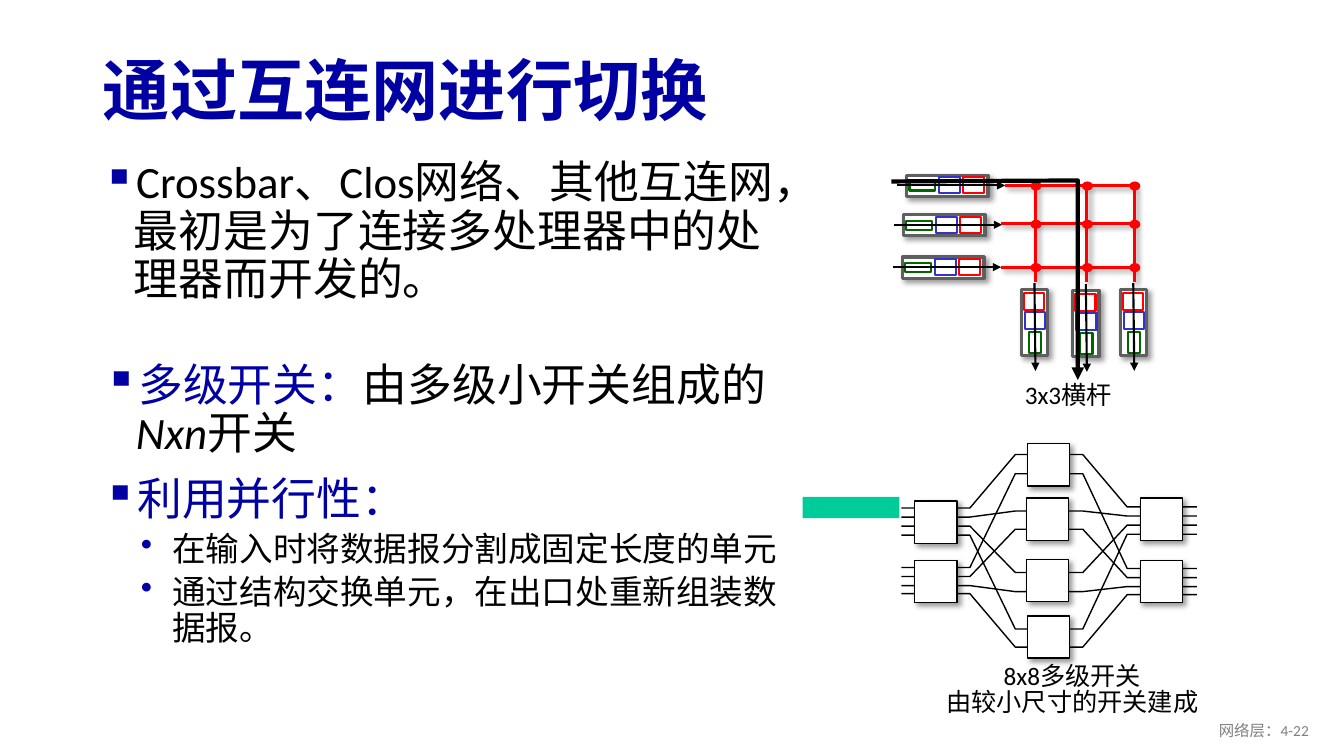
"""Build the slide on switching through an interconnection network."""
from dataclasses import dataclass
from itertools import product
from typing import Any, Optional

from lxml import etree
from pptx import Presentation
from pptx.dml.color import RGBColor
from pptx.enum.shapes import MSO_CONNECTOR, MSO_SHAPE
from pptx.enum.text import MSO_ANCHOR, PP_ALIGN
from pptx.oxml.ns import qn
from pptx.util import Inches, Pt

RECT, OVAL = MSO_SHAPE.RECTANGLE, MSO_SHAPE.OVAL
STRAIGHT = MSO_CONNECTOR.STRAIGHT
MIDDLE, TOP = MSO_ANCHOR.MIDDLE, MSO_ANCHOR.TOP
LEFT, CENTER, RIGHT = PP_ALIGN.LEFT, PP_ALIGN.CENTER, PP_ALIGN.RIGHT

FONT = "Calibri"
COLORS = {
    "navy": "0000A3", "bullet": "0000A8", "black": "000000", "white": "FFFFFF",
    "frame": "5F5F5F", "green": "006600", "blue": "3333CC", "red": "FF0000",
    "teal": "00CC99", "gray": "808080",
}


@dataclass(frozen=True)
class Run:
    text: str
    size: float
    color: str = "black"
    bold: bool = False
    italic: bool = False


@dataclass(frozen=True)
class Para:
    runs: tuple[Run, ...]
    align: Any = LEFT
    spacing: float = 0.9
    before: float = 0
    level: int = 0
    bullet: str = ""
    bullet_color: str = "navy"
    indent: float = 0.39


@dataclass(frozen=True)
class Box:
    color: str
    weight: float
    at: tuple[float, float, float, float]
    shadow: bool = False


@dataclass(frozen=True)
class Queue:
    boxes: tuple[Box, ...]
    start: tuple[float, float]
    end: tuple[float, float]
    origins: tuple[tuple[float, float], ...]
    rotation: float = 0


INPUTS = Queue(
    (Box("frame", 2.25, (0, 0, 0.81, 0.21), True), Box("green", 1.5, (0.03, 0.06, 0.25, 0.09)),
     Box("blue", 1.5, (0.32, 0.02, 0.21, 0.16)), Box("red", 1.5, (0.56, 0.02, 0.21, 0.16))),
    (-0.09, 0.1), (0.98, 0.1), ((8.99, 1.74), (8.96, 2.13), (8.95, 2.55)))
OUTPUTS = Queue(
    (Box("frame", 2.25, (0, 0, 0.66, 0.26), True), Box("green", 1.5, (0.23, 0.27, 0.21, 0.12)),
     Box("blue", 1.5, (0.25, 0.01, 0.17, 0.2)), Box("red", 1.5, (0.24, -0.18, 0.17, 0.2))),
    (0.33, -0.26), (0.34, 0.61), ((10.91, 3.07), (10.44, 3.08), (9.93, 3.07)), 90)

ROWS = (1.84, 2.22, 2.65)
COLS = (10.27, 10.78, 11.25)
LANE_X = (8.94, 9.62, 10.07, 10.74, 11.18, 11.87)
LANE_Y = ((5.04, 4.51, 5.03), (5.89, 6.42, 5.9), (5.13, 5.07, 5.12), (5.81, 5.87, 5.82),
          (5.22, 5.68, 5.21), (5.72, 5.25, 5.73), (5.31, 6.24, 5.3), (5.63, 4.7, 5.64))
SWITCHES = ((9.07, 4.97), (9.07, 5.56), (10.19, 4.4), (10.18, 4.94),
            (10.18, 5.55), (10.19, 6.11), (11.31, 5.56), (11.31, 4.94))


def rgb(color: str) -> RGBColor:
    """Look up a named colour."""
    return RGBColor.from_string(COLORS[color])


def finish(sp: Any, line: Optional[str], weight: float, shadow: bool = False,
           arrow: bool = False) -> None:
    """Set the outline, arrowhead and shadow of a shape or connector."""
    if line:
        sp.line.color.rgb = rgb(line)
        sp.line.width = Pt(weight)
    else:
        sp.line.fill.background()
    spPr = sp._element.spPr
    if arrow:
        etree.SubElement(spPr.find(qn("a:ln")), qn("a:tailEnd"), type="triangle")
    effects = etree.SubElement(spPr, qn("a:effectLst"))
    if shadow:
        outer = etree.SubElement(effects, qn("a:outerShdw"), blurRad=str(Pt(4)), dist=str(Pt(3)),
                                 dir="2700000", algn="tl", rotWithShape="0")
        clr = etree.SubElement(outer, qn("a:srgbClr"), val=COLORS["black"])
        etree.SubElement(clr, qn("a:alpha"), val="40000")


def add_box(shapes: Any, at: tuple[float, ...], fill: str, line: Optional[str] = None,
            weight: float = 1, shadow: bool = False, kind: Any = RECT, rotation: float = 0) -> None:
    """Draw a filled preset shape."""
    s = shapes.add_shape(kind, *map(Inches, at))
    s.rotation = rotation
    s.fill.solid()
    s.fill.fore_color.rgb = rgb(fill)
    finish(s, line, weight, shadow)


def add_line(shapes: Any, ends: tuple[float, ...], color: str, weight: float,
             shadow: bool = False, arrow: bool = False) -> None:
    """Draw a straight connector."""
    finish(shapes.add_connector(STRAIGHT, *map(Inches, ends)), color, weight, shadow, arrow)


def add_route(shapes: Any, points: list[tuple[float, float]], weight: float,
              arrow: bool = False) -> None:
    """Draw an open black polyline."""
    (x, y), *rest = [(Inches(px), Inches(py)) for px, py in points]
    builder = shapes.build_freeform(x, y)
    builder.add_line_segments(rest, close=False)
    s = builder.convert_to_shape()
    s.fill.background()
    finish(s, "black", weight, arrow=arrow)


def add_queue(shapes: Any, queue: Queue) -> None:
    """Draw each packet queue with its flow arrow."""
    for x, y in queue.origins:
        for box in queue.boxes:
            dx, dy, w, h = box.at
            add_box(shapes, (x + dx, y + dy, w, h), "white", box.color, box.weight,
                    box.shadow, rotation=queue.rotation)
        (x1, y1), (x2, y2) = queue.start, queue.end
        add_line(shapes, (x + x1, y + y1, x + x2, y + y2), "black", 1.5, arrow=True)


def write(sp: Any, paras: list[Para], wrap: bool = True, anchor: Any = TOP) -> None:
    """Fill a text frame paragraph by paragraph and run by run."""
    tf = sp.text_frame
    tf.word_wrap = wrap
    tf.vertical_anchor = anchor
    for i, para in enumerate(paras):
        p = tf.add_paragraph() if i else tf.paragraphs[0]
        if para.bullet:
            pPr = p._p.get_or_add_pPr()
            pPr.set("marL", str(Inches(para.indent)))
            pPr.set("indent", str(Inches(-0.31)))
            clr = etree.SubElement(pPr, qn("a:buClr"))
            etree.SubElement(clr, qn("a:srgbClr"), val=COLORS[para.bullet_color])
            etree.SubElement(pPr, qn("a:buChar"), char=para.bullet)
        p.level, p.alignment = para.level, para.align
        p.line_spacing, p.space_before = para.spacing, Pt(para.before)
        for run in para.runs:
            r = p.add_run()
            r.text = run.text
            r.font.name, r.font.size = FONT, Pt(run.size)
            r.font.bold, r.font.italic = run.bold, run.italic
            r.font.color.rgb = rgb(run.color)


def add_text(shapes: Any, at: tuple[float, ...], paras: list[Para], wrap: bool = True,
             anchor: Any = TOP) -> None:
    """Add a text box."""
    write(shapes.add_textbox(*map(Inches, at)), paras, wrap, anchor)


def topic(*runs: Run) -> Para:
    """Make a first-level bullet."""
    return Para(runs, bullet="▪")


def detail(text: str) -> Para:
    """Make a second-level bullet."""
    return Para((Run(text, 24),), before=5, level=1, bullet="•", bullet_color="bullet", indent=0.76)


def caption(text: str) -> Para:
    """Make a centred diagram caption."""
    return Para((Run(text, 18),), CENTER, 0.85)


def draw_crossbar(shapes: Any) -> None:
    """Draw the 3x3 crossbar with its queues and active route."""
    add_queue(shapes, INPUTS)
    add_queue(shapes, OUTPUTS)
    for y, x in zip(ROWS, (9.97, 9.93, 9.93)):
        add_line(shapes, (x, y, COLS[-1], y), "red", 2.25, True)
    for x in COLS:
        add_line(shapes, (x, 2.8, x, ROWS[0]), "red", 2.25, True)
    for x, y in product(COLS, ROWS):
        add_box(shapes, (x - 0.05, y - 0.04, 0.11, 0.09), "red", kind=OVAL)
    add_route(shapes, [(8.84, 1.8), (10.69, 1.79), (10.69, 3.77)], 3, True)


def draw_multistage(shapes: Any) -> None:
    """Draw the 8x8 multistage switch and its caption."""
    for a, b, c in LANE_Y:
        add_route(shapes, list(zip(LANE_X, (a, a, b, b, c, c))), 1)
    for x, y in SWITCHES:
        add_box(shapes, (x, y, 0.42, 0.42), "white", "black", 1, True)
    add_text(shapes, (8.86, 6.55, 3.55, 0.62),
             [caption("8x8多级开关"), caption("由较小尺寸的开关建成")], wrap=False)


def main() -> None:
    """Build and save the slide."""
    prs = Presentation()
    prs.slide_width, prs.slide_height = Inches(13.33), Inches(7.5)
    shapes = prs.slides.add_slide(prs.slide_layouts[5]).shapes
    title = shapes.title
    title.left, title.top, title.width, title.height = map(Inches, (0.92, 0.44, 11.5, 0.98))
    write(title, [Para((Run("通过互连网进行切换", 48, "navy", bold=True),))], anchor=MIDDLE)
    add_text(shapes, (0.84, 1.54, 7.08, 1.9), [topic(
        Run("Crossbar、Clos网络、其他互连网，最初是为了连接多处理器中的处理器而开发的。", 32))])
    draw_crossbar(shapes.add_group_shape().shapes)
    draw_multistage(shapes.add_group_shape().shapes)
    add_text(shapes, (0.86, 3.55, 7.08, 1.2), [topic(
        Run("多级开关：", 32, "navy"), Run("由多级小开关组成的", 32),
        Run("Nxn", 32, italic=True), Run("开关", 32))])
    add_text(shapes, (0.85, 4.68, 7.08, 2.32), [
        topic(Run("利用并行性：", 32, "navy")),
        detail("在输入时将数据报分割成固定长度的单元"),
        detail("通过结构交换单元，在出口处重新组装数据报。")])
    add_text(shapes, (9.85, 3.76, 1.49, 0.36), [caption("3x3横杆")], wrap=False)
    for i in range(3):
        add_box(shapes, (7.96 + 0.32 * i, 4.93, 0.32, 0.21), "teal")
    add_text(shapes, (10.08, 7.05, 3, 0.4),
             [Para((Run("网络层：4-22", 11, "gray"),), RIGHT, 1)], anchor=MIDDLE)
    prs.save("out.pptx")


if __name__ == "__main__":
    main()
